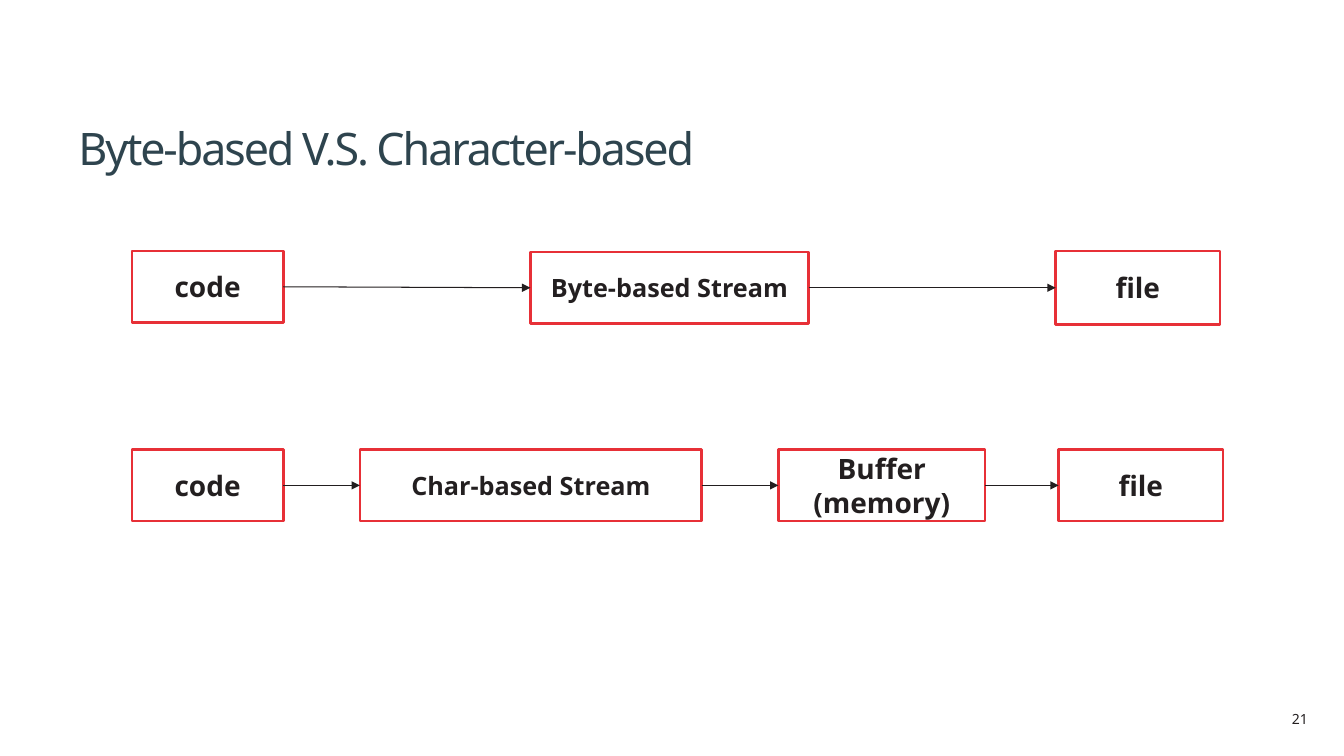
"""Build a slide comparing byte-based and character-based streams."""
from lxml import etree
from pptx import Presentation
from pptx import util as u
from pptx.dml.color import RGBColor
from pptx.enum import shapes, text
from pptx.oxml.ns import qn

FONT = "Noto Sans"
INK, TITLE_COLOR, RED, WHITE, ARROW = "231F20", "2E444E", "E73037", "FFFFFF", "221E1F"

LABELS = [
    {"words": "Byte-based V.S. Character-based", "at": (0.68, 0.76, 11.86, 1.02),
     "size": 32, "color": TITLE_COLOR, "align": text.PP_ALIGN.LEFT,
     "anchor": text.MSO_ANCHOR.BOTTOM, "spacing": -150},
    {"words": "21", "at": (12.02, 7, 1.05, 0.27),
     "size": 10, "color": INK, "align": text.PP_ALIGN.RIGHT,
     "anchor": text.MSO_ANCHOR.TOP, "spacing": 0},
]
FLOWS = [
    [("code", 20, (1.31, 2.49, 1.5, 0.71)),
     ("Byte-based Stream", 18, (5.26, 2.5, 2.76, 0.71)),
     ("file", 20, (10.47, 2.49, 1.63, 0.73))],
    [("code", 20, (1.31, 4.46, 1.5, 0.71)),
     ("Char-based Stream", 18, (3.57, 4.46, 3.39, 0.71)),
     ("Buffer (memory)", 20, (7.72, 4.46, 2.05, 0.71)),
     ("file", 20, (10.5, 4.46, 1.63, 0.71))],
]
LEFT, RIGHT = 1, 3


def color(hex_value):
    return RGBColor.from_string(hex_value)


def write(shape, words, size, ink, align, anchor, bold=False, spacing=0):
    frame = shape.text_frame
    frame.word_wrap = True
    frame.vertical_anchor = anchor
    paragraph = frame.paragraphs[0]
    paragraph.alignment = align
    run = paragraph.add_run()
    run.text = words
    run.font.color.rgb = color(ink)
    for name, value in {"name": FONT, "size": u.Pt(size), "bold": bold}.items():
        setattr(run.font, name, value)
    if spacing:
        run._r.get_or_add_rPr().set("spc", str(spacing))


def add_box(slide, words, size, at):
    box = slide.shapes.add_shape(shapes.MSO_SHAPE.RECTANGLE, *map(u.Inches, at))
    box.shadow.inherit = False
    box.fill.solid()
    box.fill.fore_color.rgb = color(WHITE)
    box.line.color.rgb = color(RED)
    box.line.width = u.Pt(2)
    write(box, words, size, INK, text.PP_ALIGN.CENTER, text.MSO_ANCHOR.MIDDLE, bold=True)
    return box


def add_arrow(slide, source, target):
    arrow = slide.shapes.add_connector(shapes.MSO_CONNECTOR.STRAIGHT, 0, 0, 0, 0)
    arrow.begin_connect(source, RIGHT)
    arrow.end_connect(target, LEFT)
    arrow.line.color.rgb = color(ARROW)
    arrow.line.width = u.Pt(0.75)
    etree.SubElement(arrow.line._get_or_add_ln(), qn("a:tailEnd"), type="triangle")
    etree.SubElement(arrow._element.spPr, qn("a:effectLst"))


def main():
    presentation = Presentation()
    presentation.slide_width = u.Inches(13.33)
    presentation.slide_height = u.Inches(7.5)
    slide = presentation.slides.add_slide(presentation.slide_layouts[6])
    for label in LABELS:
        label_box = slide.shapes.add_textbox(*map(u.Inches, label["at"]))
        write(label_box, label["words"], label["size"], label["color"],
              label["align"], label["anchor"], spacing=label["spacing"])
    for flow in FLOWS:
        boxes = [add_box(slide, *step) for step in flow]
        for source, target in zip(boxes, boxes[1:]):
            add_arrow(slide, source, target)
    presentation.save("out.pptx")


if __name__ == "__main__":
    main()
